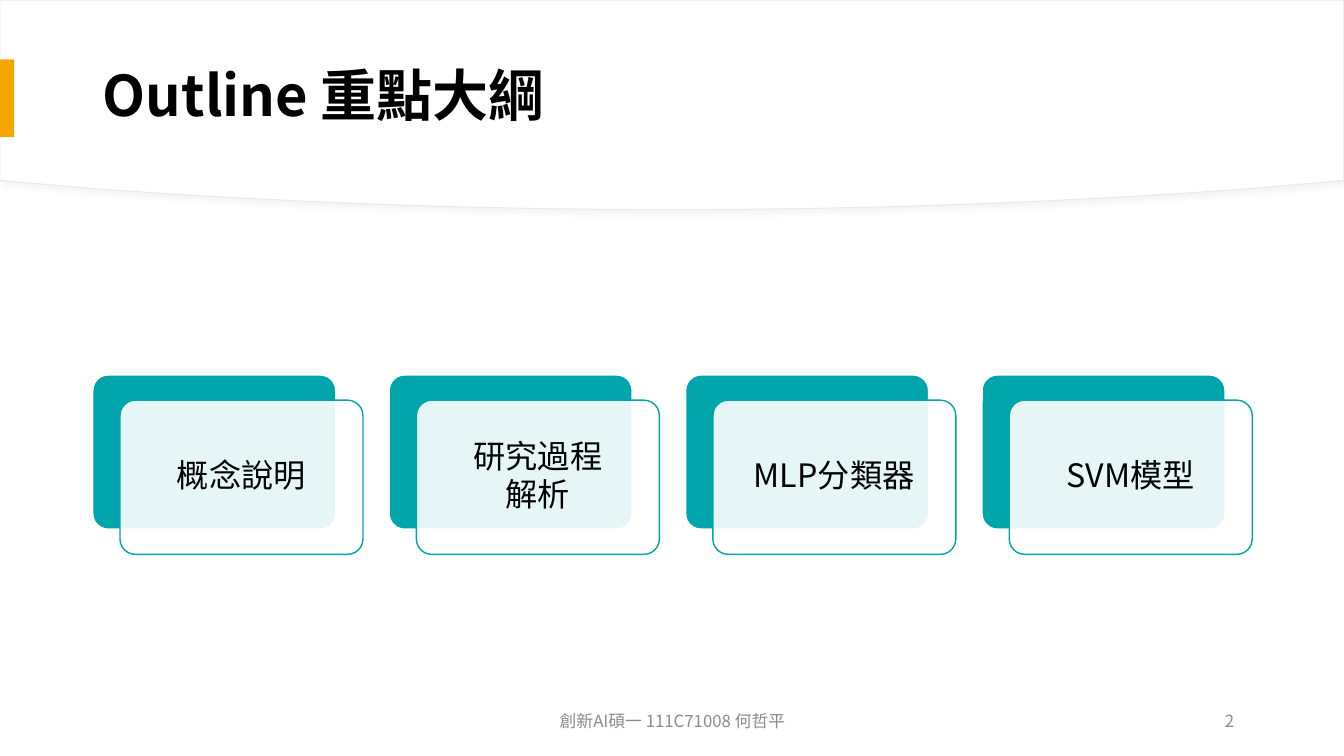
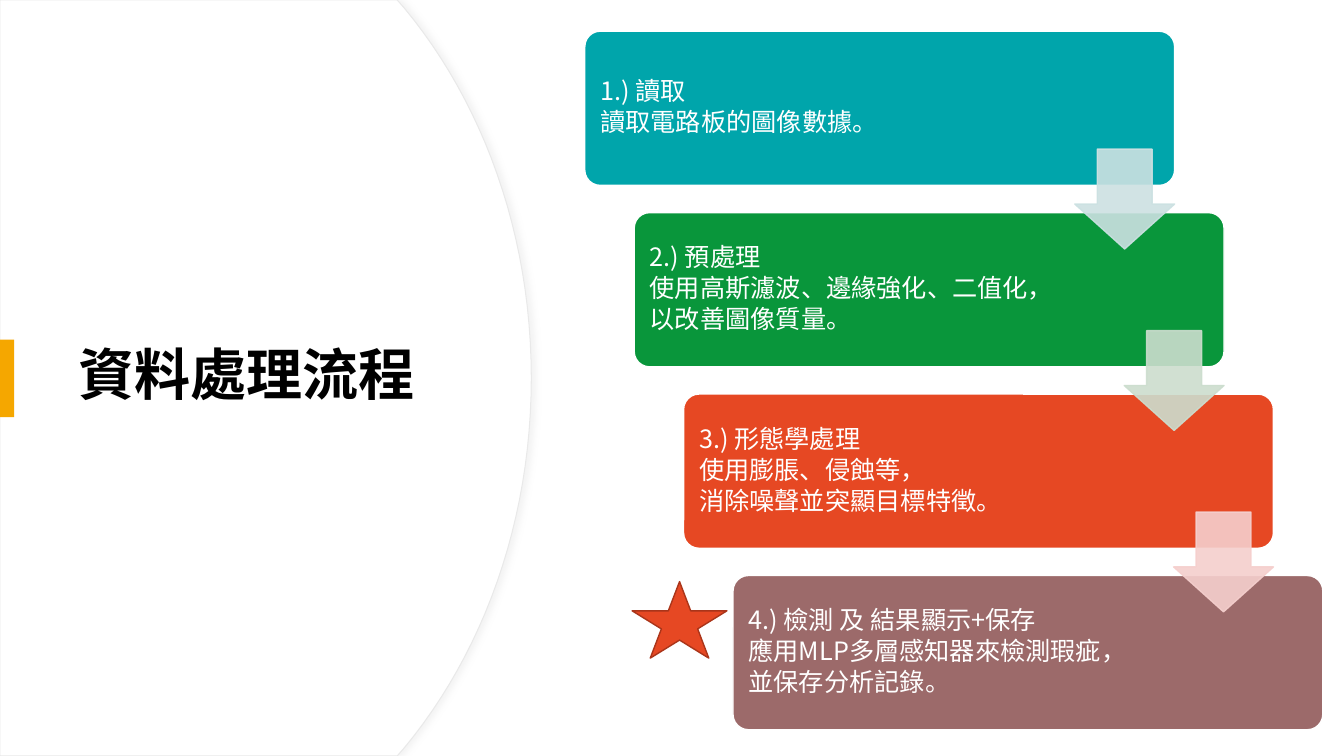
from pptx import Presentation
from pptx.dml.color import RGBColor
from pptx.enum.shapes import MSO_SHAPE as Kind
from pptx.enum.text import MSO_ANCHOR as Anchor, PP_ALIGN as Align
from pptx.oxml.ns import qn
from pptx.util import Inches, Pt
from lxml.etree import SubElement

FONT = "Noto Sans CJK SC"
WHITE, BLACK, GREY = "FFFFFF", "000000", "8C8C8C"
TEAL, GREEN, RED, MAUVE = "00A5AB", "09963B", "E64823", "9C6A6A"
GOLD, EDGE, SHADE = "F5A700", "E9E9E9", "D9D9D9"

TOPICS = ["概念說明", "研究過程\n解析", "MLP分類器", "SVM模型"]
STEPS = [
    (TEAL, "CCE1E2", "1.) 讀取\n讀取電路板的圖像數據。"),
    (GREEN, "CCDDCE", "2.) 預處理\n使用高斯濾波、邊緣強化、二值化，\n以改善圖像質量。"),
    (RED, "F5CFCD", "3.) 形態學處理\n使用膨脹、侵蝕等，\n消除噪聲並突顯目標特徵。"),
    (MAUVE, None, "4.) 檢測 及 結果顯示+保存\n應用MLP多層感知器來檢測瑕疵，\n並保存分析記錄。"),
]


def tint(fmt, color):
    fmt.solid()
    fmt.fore_color.rgb = RGBColor.from_string(color)


def paint(shape, fill, line=None, width=1):
    tint(shape.fill, fill)
    if line:
        tint(shape.line.fill, line)
        shape.line.width = Pt(width)
    else:
        shape.line.fill.background()
    shape.shadow.inherit = False


def fade(fmt, color, alpha):
    for node in fmt.iter(qn("a:srgbClr")):
        if node.get("val") == color:
            SubElement(node, qn("a:alpha"), val=str(alpha * 1000))


def write(shape, text, size=18, color=BLACK, bold=False, align=Align.LEFT,
          space=0, line=None, inset=(0.1, 0.05)):
    frame = shape.text_frame
    frame.word_wrap = True
    frame.vertical_anchor = Anchor.MIDDLE
    frame.margin_left = frame.margin_right = Inches(inset[0])
    frame.margin_top = frame.margin_bottom = Inches(inset[1])
    for i, part in enumerate(text.split("\n")):
        para = frame.add_paragraph() if i else frame.paragraphs[0]
        para.alignment = align
        para.space_after = Pt(space)
        if line:
            para.line_spacing = line
        run = para.add_run()
        run.text = part
        font = run.font
        font.size, font.bold, font.name = Pt(size), bold, FONT
        tint(font.fill, color)
        SubElement(font._element, qn("a:ea"), typeface=FONT)


def block(slide, kind, box, fill, line=None, adj=()):
    shape = slide.shapes.add_shape(kind, *map(Inches, box))
    for i, value in enumerate(adj):
        shape.adjustments[i] = value
    paint(shape, fill, line)
    return shape


def card(slide, box, fill, line=WHITE):
    return block(slide, Kind.ROUNDED_RECTANGLE, box, fill, line, [0.1])


def bend(ends, count=24):
    for i in range(count + 1):
        t = i / count
        mix = ((1 - t) ** 3, 3 * t * (1 - t) ** 2, 3 * t * t * (1 - t), t ** 3)
        yield tuple(sum(m * p[k] for m, p in zip(mix, ends)) for k in (0, 1))


def sweep(slide, corners, ends, axis, angle):
    size = (13.33, 7.5)[axis]
    half = [corners[1], *bend(ends)]
    flip = [tuple(size - v if k == axis else v for k, v in enumerate(p))
            for p in reversed(half[:-1])]
    points = [tuple(map(Inches, p)) for p in [*corners[:1], *half, *flip, corners[2]]]
    pen = slide.shapes.build_freeform(*points[0], scale=1.0)
    pen.add_line_segments(points[1:], close=True)
    panel = pen.convert_to_shape()
    paint(panel, WHITE, EDGE, 0.75)
    glow = SubElement(panel.element.spPr.find(qn("a:effectLst")), qn("a:outerShdw"),
                      blurRad=str(Pt(4)), dist=str(Pt(3)), dir=str(angle * 60000),
                      algn="tl", rotWithShape="0")
    SubElement(glow, qn("a:srgbClr"), val=SHADE)
    fade(glow, SHADE, 30)


def head(slide, text, box, top):
    title = slide.shapes.title
    title.left, title.top, title.width, title.height = map(Inches, box)
    write(title, text, size=40, bold=True, line=0.9)
    node = title.element
    node.getparent().append(node)
    block(slide, Kind.RECTANGLE, (0, top, 0.14, 0.77), GOLD)


def foot(slide, text, left, width, align):
    box = slide.shapes.add_textbox(*map(Inches, (left, 6.95, width, 0.4)))
    write(box, text, size=12, color=GREY, align=align, space=6)


def outline(slide):
    sweep(slide, [(0, 0), (0, 1.79), (13.33, 0)],
          [(0.91, 1.87), (2.68, 2), (4.63, 2.08), (6.67, 2.08)], 0, 45)
    head(slide, "Outline 重點大綱", (0.92, 0.28, 11.5, 1.39), 0.59)
    foot(slide, "創新AI碩一 111C71008 何哲平", 4.42, 4.5, Align.CENTER)
    foot(slide, "2", 9.34, 3, Align.RIGHT)
    for i, topic in enumerate(TOPICS):
        left = 0.92 + 2.94 * i
        card(slide, (left, 3.72, 2.41, 1.53), TEAL)
        front = card(slide, (left + 0.27, 3.97, 2.41, 1.53), WHITE, TEAL)
        fade(front.element.spPr, WHITE, 90)
        write(front, topic, size=23, align=Align.CENTER, space=2.7, line=0.9,
              inset=(0.14, 0.14))


def process(slide):
    sweep(slide, [(0, 0), (3.94, 0), (0, 7.5)],
          [(4.01, 0.08), (4.79, 1.02), (5.27, 2.32), (5.27, 3.75)], 1, 0)
    head(slide, "資料處理流程", (0.68, 1.27, 3.94, 4.95), 3.37)
    spots = [(0.49 * i, 1.8 * i) for i in range(len(STEPS))]
    for (dx, dy), (fill, _, text) in zip(spots, STEPS):
        step = card(slide, (5.8 + dx, 0.31 + dy, 5.85, 1.53), fill)
        write(step, text, color=WHITE, space=2.7, line=0.9, inset=(0.11, 0.11))
    for (dx, dy), (_, pale, _) in zip(spots, STEPS):
        if pale:
            arrow = block(slide, Kind.DOWN_ARROW, (10.66 + dx, 1.48 + dy, 0.99, 0.99),
                          pale, pale, [0.55, 0.45])
            fade(arrow.element.spPr, pale, 90)
    block(slide, Kind.STAR_5_POINT, (6.27, 5.77, 0.94, 0.76), RED, "AA351A")


def main():
    deck = Presentation()
    deck.slide_width, deck.slide_height = Inches(13.33), Inches(7.5)
    for build in (outline, process):
        build(deck.slides.add_slide(deck.slide_layouts[5]))
    deck.save("out.pptx")


if __name__ == "__main__":
    main()
